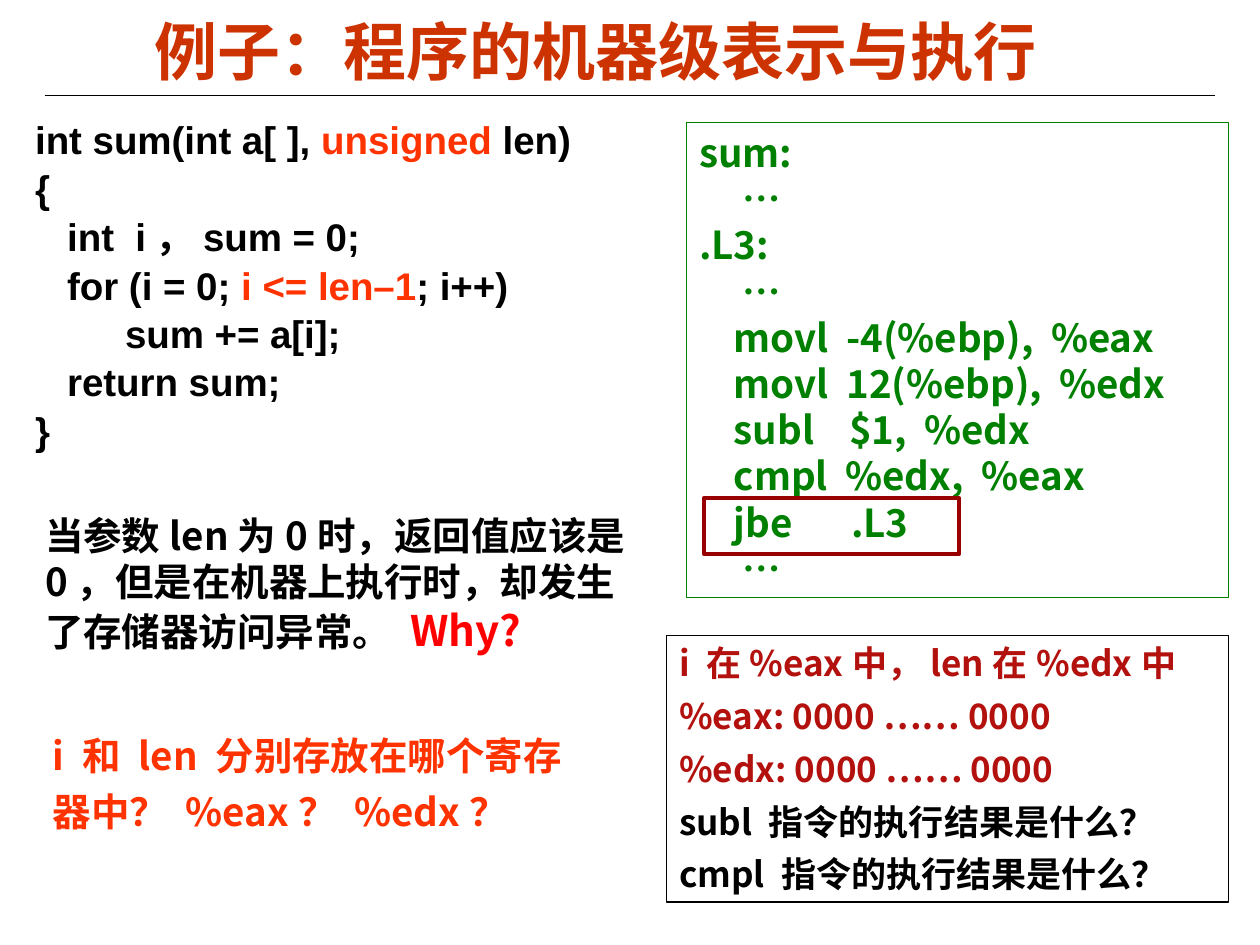
import pptx
import pptx.dml.color
import pptx.enum.shapes
import pptx.enum.text
import pptx.oxml.ns
import pptx.oxml.xmlchemy
import pptx.util
from lxml import etree

Pt = pptx.util.Pt
ALIGN = pptx.enum.text.PP_ALIGN
ANCHOR = pptx.enum.text.MSO_ANCHOR
qn = pptx.oxml.ns.qn

LATIN = "Arial"
CJK = "Noto Sans CJK SC"
BLACK, WHITE = "000000", "FFFFFF"
ORANGE, GREEN, DARK_RED = "FF3300", "008000", "B3110D"

SOURCE_CODE = [
    ["int sum(int a[ ], ", ("unsigned", ORANGE), " len)"],
    ["{"],
    ["   int  i，sum = 0;"],
    ["   for (i = 0; ", ("i <= len–1", ORANGE), "; i++)"],
    ["\t    sum += a[i];"],
    ["   return sum;"],
    ["}"],
]
ASSEMBLY = [
    "sum:",
    "     …",
    ".L3:",
    "     …",
    "    movl  -4(%ebp),  %eax",
    "    movl  12(%ebp),  %edx",
    "    subl    $1,  %edx",
    "    cmpl  %edx,  %eax",
    "    jbe\t   .L3",
    "     …",
]
REGISTERS = [
    ("i 在%eax中，len在%edx中", DARK_RED),
    ("%eax: 0000 …… 0000", DARK_RED),
    ("%edx: 0000 …… 0000", DARK_RED),
    ("subl 指令的执行结果是什么？", BLACK),
    ("cmpl 指令的执行结果是什么？", BLACK),
]


def rgb(value):
    return pptx.dml.color.RGBColor.from_string(value)


def format_paragraph(p, size, color, font):
    p.font.size = Pt(size)
    p.font.bold = True
    p.font.name = font
    p.font.color.rgb = rgb(color)
    def_rpr = p._p.pPr.find(qn("a:defRPr"))
    etree.SubElement(def_rpr, qn("a:ea")).set("typeface", CJK)


def add_paragraphs(tf, paragraphs, size, color, font=CJK, line=None, before=0, hang=0):
    """Each paragraph is a list of strings or (text, colour[, size]) tuples."""
    for i, parts in enumerate(paragraphs):
        p = tf.add_paragraph() if i else tf.paragraphs[0]
        if hang:
            p_pr = p._p.get_or_add_pPr()
            p_pr.set("marL", str(Pt(hang)))
            p_pr.set("indent", str(-Pt(hang)))
        p.alignment = ALIGN.LEFT
        if line:
            p.line_spacing = line
        p.space_before = Pt(before if i else 0)
        format_paragraph(p, size, color, font)
        for part in parts:
            r = p.add_run()
            if isinstance(part, str):
                r.text = part
                continue
            r.text = part[0]
            r.font.color.rgb = rgb(part[1])
            if len(part) > 2:
                r.font.size = Pt(part[2])


def add_text(s, box, paragraphs, size, color, anchor=ANCHOR.MIDDLE, **style):
    tf = s.shapes.add_textbox(*map(Pt, box)).text_frame
    tf.word_wrap = True
    tf.vertical_anchor = anchor
    add_paragraphs(tf, paragraphs, size, color, **style)


def add_frame(s, box, color, width=0.75, fill=None):
    sp = s.shapes.add_shape(pptx.enum.shapes.MSO_SHAPE.RECTANGLE, *map(Pt, box))
    sp.shadow.inherit = False
    if fill:
        sp.fill.solid()
        sp.fill.fore_color.rgb = rgb(fill)
    else:
        sp.fill.background()
    sp.line.color.rgb = rgb(color)
    sp.line.width = Pt(width)
    sp.text_frame.word_wrap = True
    return sp


def add_rule(s, x1, x2, y):
    rule = s.shapes.add_connector(
        pptx.enum.shapes.MSO_CONNECTOR.STRAIGHT, Pt(x1), Pt(y), Pt(x2), Pt(y))
    rule.line.color.rgb = rgb(BLACK)
    rule.line.width = Pt(0.75)
    etree.SubElement(rule._element.spPr, qn("a:effectLst"))


def set_title(s, text):
    title = s.shapes.title
    title.left, title.top, title.width, title.height = map(Pt, (16.5, 8, 648, 42))
    tf = title.text_frame
    tf.auto_size = pptx.enum.text.MSO_AUTO_SIZE.NONE
    tf.vertical_anchor = ANCHOR.MIDDLE
    p = tf.paragraphs[0]
    p.alignment = ALIGN.CENTER
    format_paragraph(p, 36, "CC3300", LATIN)
    p.add_run().text = text


def main():
    prs = pptx.Presentation()
    prs.slide_width, prs.slide_height = Pt(720), Pt(540)
    s = prs.slides.add_slide(prs.slide_layouts[5])

    set_title(s, "例子：程序的机器级表示与执行")
    add_rule(s, 25.5, 694.5, 54.75)

    add_text(s, (13, 61.5, 357, 215), SOURCE_CODE, 22, BLACK,
             anchor=ANCHOR.TOP, font=LATIN, line=1.05, hang=27)
    question = ["当参数len为0时，返回值应该是0，但是在机器上执行时，却发生了存储器访问异常。",
                (" Why?", "FF0000", 24)]
    add_text(s, (18.7, 289, 352, 89), [question], 22, BLACK)

    assembly = add_frame(s, (392.4, 70, 309.6, 271.5), GREEN)
    assembly.text_frame.vertical_anchor = ANCHOR.MIDDLE
    add_paragraphs(assembly.text_frame, [[row] for row in ASSEMBLY], 22, GREEN)

    registers = add_frame(s, (381, 363, 321, 152.5), BLACK, fill=WHITE)
    registers.text_frame.vertical_anchor = ANCHOR.TOP
    add_paragraphs(registers.text_frame, [[row] for row in REGISTERS], 20, BLACK, before=6.2)

    add_text(s, (23, 409.7, 317.5, 70.5),
             [["i 和 len 分别存放在哪个寄存器中？ %eax？ %edx？"]], 22, ORANGE, line=1.2)
    add_frame(s, (402.5, 284.4, 145.5, 32.4), "990000", width=2.25)

    prs.save("out.pptx")


if __name__ == "__main__":
    main()
